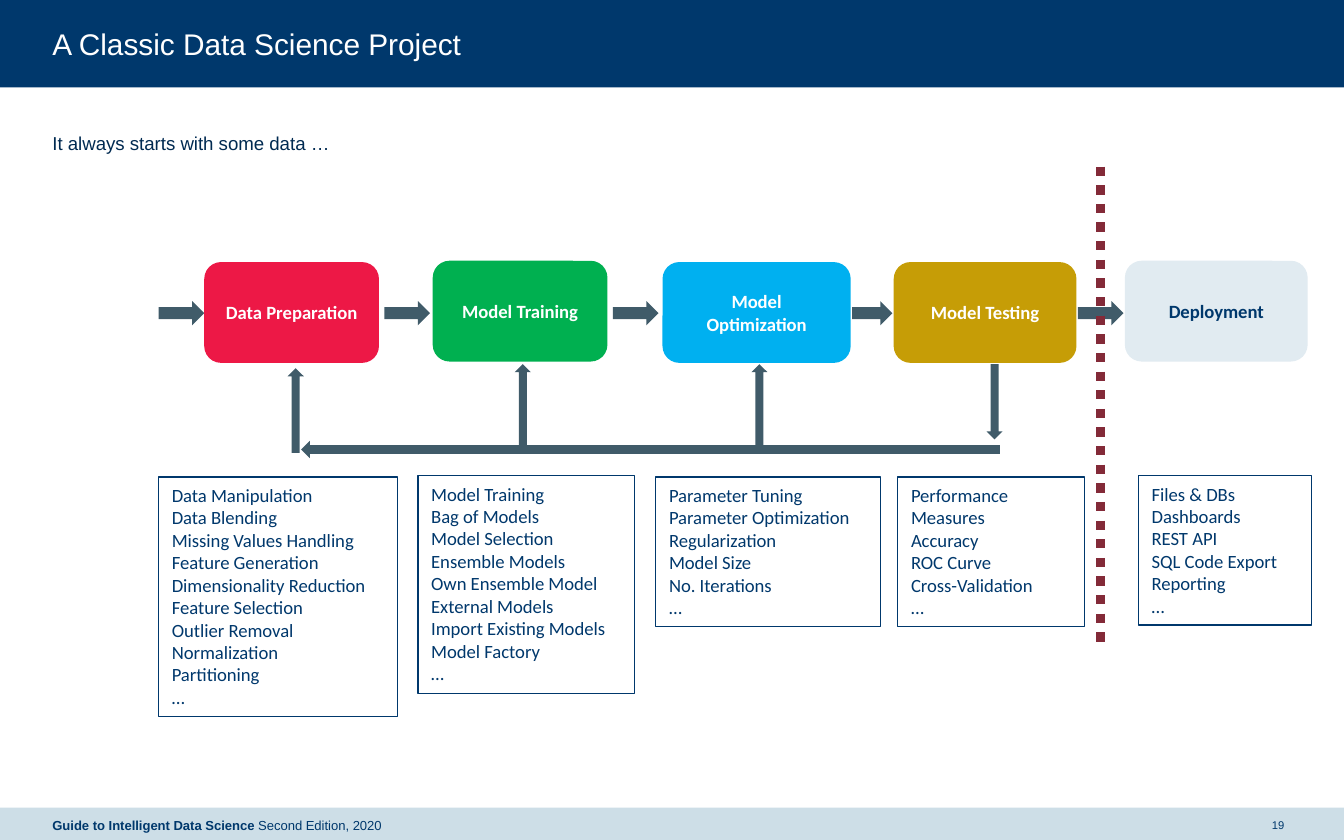
from lxml.etree import SubElement
from pptx import Presentation
from pptx.dml.color import RGBColor
from pptx.enum.dml import MSO_LINE
from pptx.enum.shapes import MSO_CONNECTOR, MSO_SHAPE
from pptx.enum.text import MSO_ANCHOR, PP_ALIGN
from pptx.oxml.ns import qn
from pptx.util import Inches, Pt

NAVY, WHITE, SLATE = "00386C", "FFFFFF", "405B69"
HEADING, BODY = "Arial", "Calibri"
FOOTER_TOP, FOOTER_HEIGHT, MARGIN = 60.1, 2.6, 3.9

# Name, fill, text colour, box (left, top, width), incoming arrow (left, width),
# list (left, top, width, height), list entries
STAGES = [
    ("Data Preparation", "ED1846", WHITE, (15.2, 19.5, 13), (11.8, 3.4),
     (11.8, 35.5, 17.8, 17.8),
     ["Data Manipulation", "Data Blending", "Missing Values Handling",
      "Feature Generation", "Dimensionality Reduction", "Feature Selection",
      "Outlier Removal", "Normalization", "Partitioning", "…"]),
    ("Model Training", "00B050", WHITE, (32.2, 19.4, 13), (28.6, 3.4),
     (31.1, 35.4, 16.1, 16.2),
     ["Model Training", "Bag of Models", "Model Selection", "Ensemble Models",
      "Own Ensemble Model", "External Models", "Import Existing Models",
      "Model Factory", "…"]),
    ("Model Optimization", "00B0F0", WHITE, (49.3, 19.5, 14), (45.6, 3.4),
     (48.8, 35.5, 16.7, 11.1),
     ["Parameter Tuning", "Parameter Optimization", "Regularization",
      "Model Size", "No. Iterations", "…"]),
    ("Model Testing", "C69D06", WHITE, (66.5, 19.5, 13.6), (63.4, 3),
     (66.8, 35.5, 13.9, 11.1),
     ["Performance Measures", "Accuracy", "ROC Curve", "Cross-Validation", "…"]),
    ("Deployment", "E1EBF1", NAVY, (83.7, 19.4, 13.6), (80.2, 3.4),
     (84.7, 35.4, 12.9, 11.1),
     ["Files & DBs", "Dashboards", "REST API", "SQL Code Export",
      "Reporting", "…"]),
]


def color(code):
    return RGBColor.from_string(code)


def cells(*counts):
    """Lengths on a grid of 100 columns by 62.5 rows of square cells."""
    return [Inches(count / 10) for count in counts]


class Painter:
    def __init__(self, page):
        self.page = page

    def shape(self, kind, area, fill=None, line=None):
        shape = self.page.shapes.add_shape(kind, *cells(*area))
        shape.shadow.inherit = False
        if fill:
            shape.fill.solid()
            shape.fill.fore_color.rgb = color(fill)
        else:
            shape.fill.background()
        if line:
            shape.line.color.rgb = color(line)
            shape.line.width = Pt(0.75)
        else:
            shape.line.fill.background()
        return shape

    def fill_text(self, box, text, size, code, font, bold=False,
                  align=PP_ALIGN.LEFT, anchor=MSO_ANCHOR.MIDDLE):
        frame = box.text_frame
        frame.word_wrap = True
        frame.vertical_anchor = anchor
        frame.text = text
        for paragraph in frame.paragraphs:
            paragraph.alignment = align
            for span in paragraph.runs:
                self.style(span, size, code, font, bold)

    def style(self, span, size, code, font, bold):
        span.font.size = Pt(size)
        span.font.name = font
        span.font.bold = bold
        span.font.color.rgb = color(code)

    def label(self, area, text, size, code=NAVY, **options):
        box = self.page.shapes.add_textbox(*cells(*area))
        frame = box.text_frame
        frame.margin_left = frame.margin_right = 0
        frame.margin_top = frame.margin_bottom = 0
        self.fill_text(box, text, size, code, HEADING, **options)
        return box

    def stage(self, area, name, fill, code):
        box = self.shape(MSO_SHAPE.ROUNDED_RECTANGLE, area, fill)
        self.fill_text(box, name, 10, code, BODY, bold=True,
                       align=PP_ALIGN.CENTER)

    def task_list(self, area, tasks):
        box = self.shape(MSO_SHAPE.RECTANGLE, area, line=NAVY)
        self.fill_text(box, "\n".join(tasks), 10, NAVY, BODY,
                       anchor=MSO_ANCHOR.TOP)

    def dotted_divider(self, column, top, bottom):
        line = self.page.shapes.add_connector(
            MSO_CONNECTOR.STRAIGHT, *cells(column, top, column, bottom))
        line.line.color.rgb = color("832A38")
        line.line.width = Pt(5)
        line.line.dash_style = MSO_LINE.ROUND_DOT
        SubElement(line._element.spPr, qn("a:effectLst"))


def main():
    deck = Presentation()
    deck.slide_width, deck.slide_height = cells(100, 62.5)
    painter = Painter(deck.slides.add_slide(deck.slide_layouts[6]))

    painter.shape(MSO_SHAPE.RECTANGLE, (0, 0, 100, 6.5), NAVY)
    painter.shape(MSO_SHAPE.RECTANGLE, (0, FOOTER_TOP, 100, FOOTER_HEIGHT), "CDDEE7")
    painter.label((MARGIN, 1.9, 92.2, 2.7), "A Classic Data Science Project",
                  16, WHITE, anchor=MSO_ANCHOR.TOP)
    painter.label((MARGIN, 9.8, 91.6, 47.1), "It always starts with some data …",
                  10, "002A51", anchor=MSO_ANCHOR.TOP)

    for column, top in ((21.4, 27.4), (38.3, 27.1), (55.9, 27.1)):
        painter.shape(MSO_SHAPE.UP_ARROW, (column, top, 1.2, 6.3), SLATE)
    painter.shape(MSO_SHAPE.DOWN_ARROW, (73.4, 27.1, 1.2, 5.6), SLATE)
    painter.shape(MSO_SHAPE.LEFT_ARROW, (22.4, 32.8, 52, 1.3), SLATE)

    for name, fill, code, box, arrow, list_area, tasks in STAGES:
        arrow_left, arrow_width = arrow
        painter.shape(MSO_SHAPE.RIGHT_ARROW,
                      (arrow_left, 22.4, arrow_width, 1.8), SLATE)
        painter.stage((*box, 7.5), name, fill, code)
        painter.task_list(list_area, tasks)
    painter.dotted_divider(81.9, 12.4, 47.8)

    footer = painter.label((MARGIN, FOOTER_TOP, 43.9, FOOTER_HEIGHT),
                           "Guide to Intelligent Data Science ", 7, bold=True)
    edition = footer.text_frame.paragraphs[0].add_run()
    edition.text = "Second Edition, 2020"
    painter.style(edition, 7, NAVY, HEADING, False)
    painter.label((94.1, FOOTER_TOP, 2, FOOTER_HEIGHT), "19", 6,
                  align=PP_ALIGN.CENTER)

    deck.save("out.pptx")


if __name__ == "__main__":
    main()
